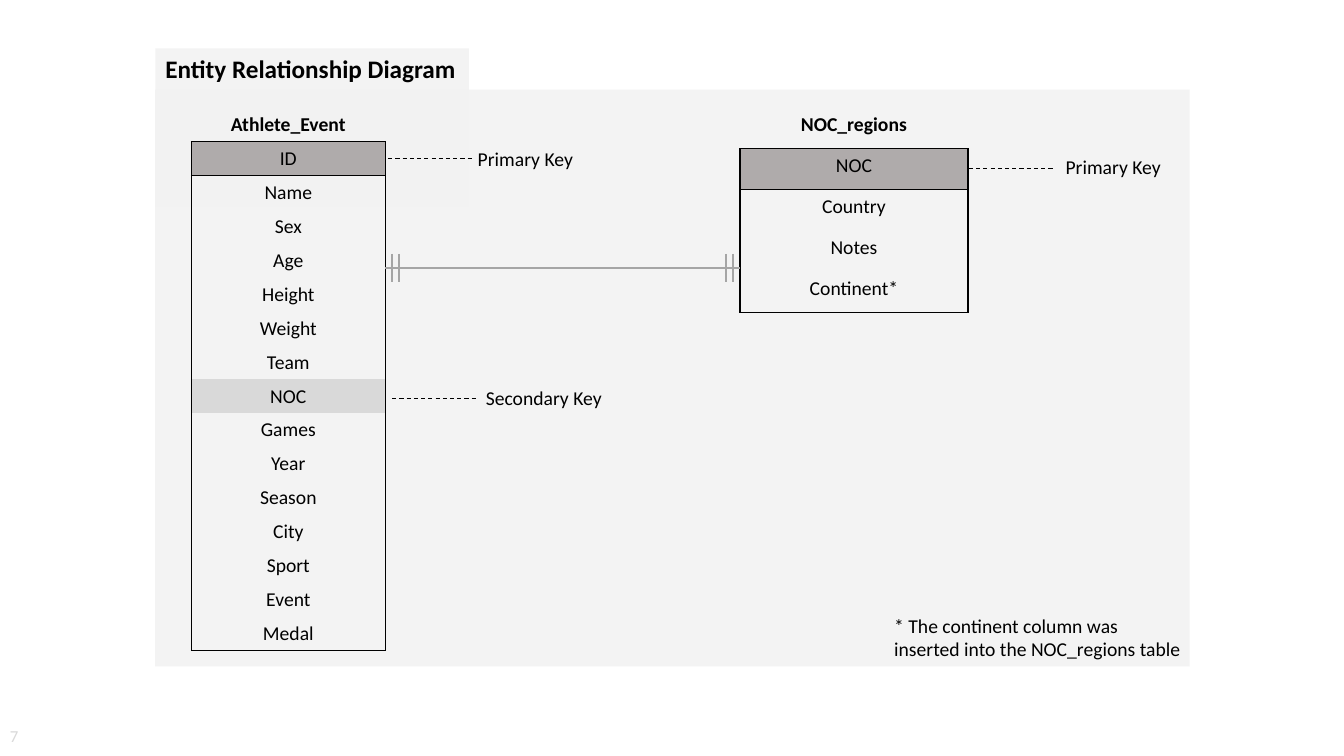
"""Build the entity relationship diagram slide."""
from lxml.etree import SubElement
from pptx import Presentation
from pptx.dml.color import RGBColor
from pptx.enum.dml import MSO_LINE
from pptx.enum.shapes import MSO_CONNECTOR, MSO_SHAPE
from pptx.enum.text import MSO_ANCHOR, MSO_AUTO_SIZE, PP_ALIGN
from pptx.oxml.ns import qn
from pptx.util import Inches, Pt

BLACK = RGBColor(0x00, 0x00, 0x00)
PANEL_GREY = RGBColor(0xF2, 0xF2, 0xF2)
PRIMARY_GREY = RGBColor(0xAF, 0xAB, 0xAB)
SECONDARY_GREY = RGBColor(0xD9, 0xD9, 0xD9)
RELATION_GREY = RGBColor(0xA5, 0xA5, 0xA5)
PLAIN_TABLE_STYLE = "{2D5ABB26-0587-4C30-8999-92F81FD0307C}"


def write_text(frame, text, align=PP_ALIGN.LEFT, color=BLACK, **font_format):
    paragraph = frame.paragraphs[0]
    paragraph.alignment = align
    run = paragraph.add_run()
    run.text = text
    formats = {"name": "Calibri", "size": Pt(14), "bold": False, **font_format}
    for attribute, value in formats.items():
        setattr(run.font, attribute, value)
    run.font.color.rgb = color


def draw_line(shapes, start, end, color, width, dash=None):
    line = shapes.add_connector(MSO_CONNECTOR.STRAIGHT, *map(Inches, start + end))
    line.line.color.rgb = color
    line.line.width = Pt(width)
    line.line.dash_style = dash
    SubElement(line._element.spPr, qn("a:effectLst"))


deck = Presentation()
deck.slide_width, deck.slide_height = Inches(13.33), Inches(7.5)
slide = deck.slides.add_slide(deck.slide_layouts[5])
shapes = slide.shapes

panel = shapes.add_shape(
    MSO_SHAPE.RECTANGLE, Inches(1.54), Inches(0.89), Inches(10.26), Inches(5.72))
panel.shadow.inherit = False
panel.line.fill.background()

title = shapes.title
title_box = {"left": 1.54, "top": 0.48, "width": 3.11, "height": 0.4}
for attribute, value in title_box.items():
    setattr(title, attribute, Inches(value))
title_frame = title.text_frame
title_format = {"word_wrap": False, "auto_size": MSO_AUTO_SIZE.SHAPE_TO_FIT_TEXT,
                "vertical_anchor": MSO_ANCHOR.TOP}
for attribute, value in title_format.items():
    setattr(title_frame, attribute, value)
write_text(title_frame, "Entity Relationship Diagram", size=Pt(18), bold=True)

for backdrop in (panel, title):
    backdrop.fill.solid()
    backdrop.fill.fore_color.rgb = PANEL_GREY
    tint = backdrop._element.spPr.find(qn("a:solidFill")).find(qn("a:srgbClr"))
    SubElement(tint, qn("a:alpha"), val="90000")

athlete_fields = ["Athlete_Event", "ID", "Name", "Sex", "Age", "Height", "Weight",
                  "Team", "NOC", "Games", "Year", "Season", "City", "Sport",
                  "Event", "Medal"]
region_fields = ["NOC_regions", "NOC", "Country", "Notes", "Continent*"]
entities = [
    (athlete_fields, 1.9, 1.92, 5.39, {1: PRIMARY_GREY, 8: SECONDARY_GREY}),
    (region_fields, 7.34, 2.26, 2.03, {1: PRIMARY_GREY}),
]
for fields, left, width, height, key_fills in entities:
    entity = shapes.add_table(len(fields), 1, Inches(left), Inches(1.07),
                              Inches(width), Inches(height)).table
    entity.first_row = entity.horz_banding = False
    entity._tbl.tblPr.find(qn("a:tableStyleId")).text = PLAIN_TABLE_STYLE
    for row, field in enumerate(fields):
        cell = entity.cell(row, 0)
        write_text(cell.text_frame, field, PP_ALIGN.CENTER, bold=row == 0)
        borders = {"a:lnL": row > 0, "a:lnR": row > 0, "a:lnT": row == 1,
                   "a:lnB": row in (0, len(fields) - 1)}
        cell_properties = cell._tc.get_or_add_tcPr()
        for side, visible in borders.items():
            if visible:
                border = SubElement(cell_properties, qn(side), w=str(Pt(1)))
                border_fill = SubElement(border, qn("a:solidFill"))
                SubElement(border_fill, qn("a:srgbClr"), val=str(BLACK))
        if row in key_fills:
            cell.fill.solid()
            cell.fill.fore_color.rgb = key_fills[row]
        else:
            cell.fill.background()

footnote = "* The continent column was inserted into the NOC_regions table"
labels = [
    ("Primary Key", 4.64, 1.41, 1.16, 0.34, False),
    ("Primary Key", 10.47, 1.49, 1.16, 0.34, False),
    ("Secondary Key", 4.72, 3.78, 1.36, 0.34, False),
    (footnote, 8.77, 6.04, 3.11, 0.57, True),
]
for text, left, top, width, height, wraps in labels:
    label = shapes.add_textbox(*map(Inches, (left, top, width, height)))
    label.text_frame.word_wrap = wraps
    label.text_frame.auto_size = MSO_AUTO_SIZE.SHAPE_TO_FIT_TEXT
    write_text(label.text_frame, text)

for left, y in [(3.85, 1.57), (9.61, 1.67), (3.89, 3.95)]:
    draw_line(shapes, (left, y), (left + 0.83, y), BLACK, 0.75, MSO_LINE.DASH)

draw_line(shapes, (3.82, 2.66), (7.34, 2.66), RELATION_GREY, 1.5)
for left in (3.89, 7.2):
    cardinality = shapes.add_group_shape()
    for x in (left, left + 0.07):
        draw_line(cardinality.shapes, (x, 2.52), (x, 2.8), RELATION_GREY, 1.5)

page_number = shapes.add_textbox(Inches(0), Inches(7.1), Inches(3), Inches(0.4))
page_number.text_frame.word_wrap = True
page_number.text_frame.vertical_anchor = MSO_ANCHOR.MIDDLE
write_text(page_number.text_frame, "7", color=SECONDARY_GREY, size=Pt(12))

deck.save("out.pptx")
